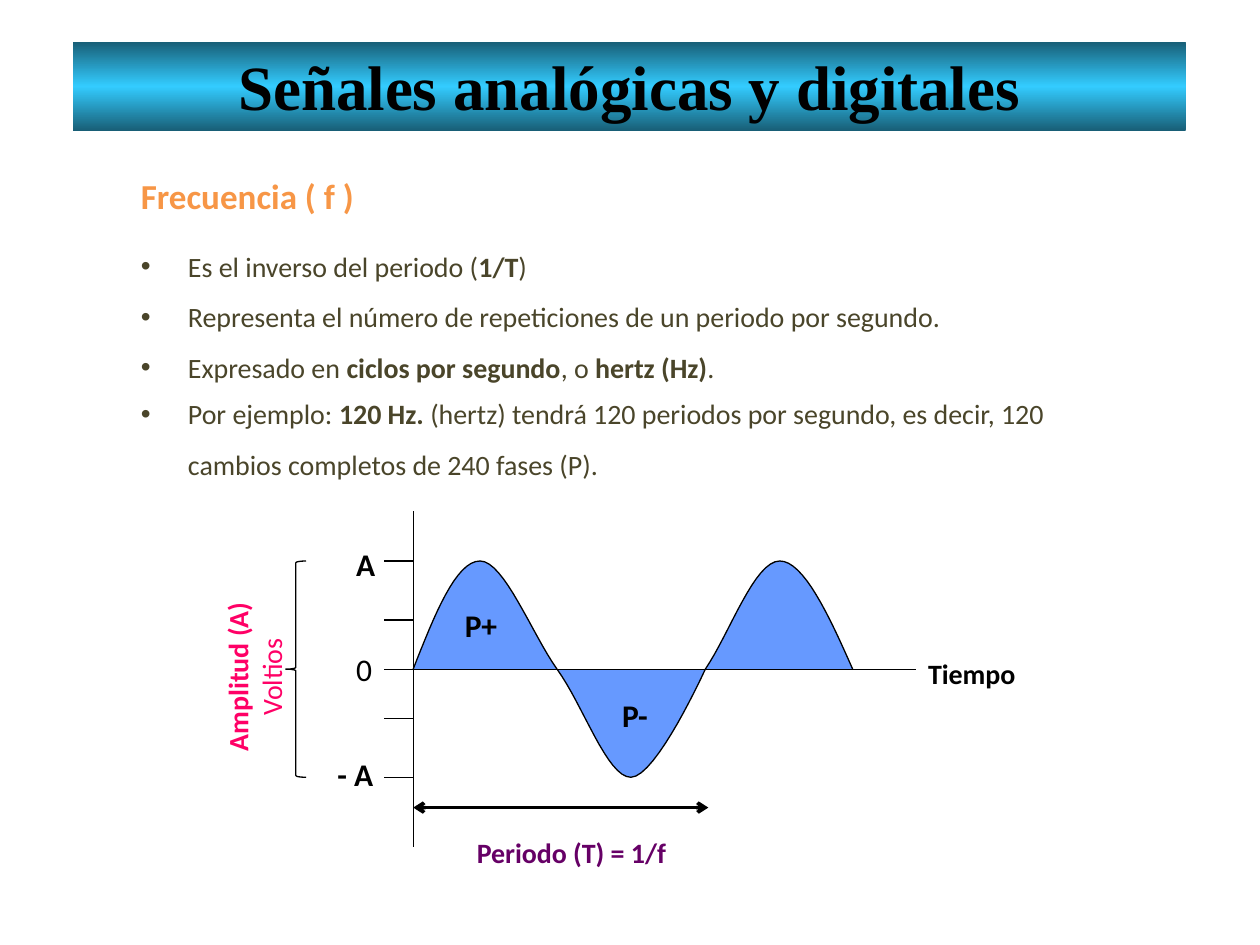
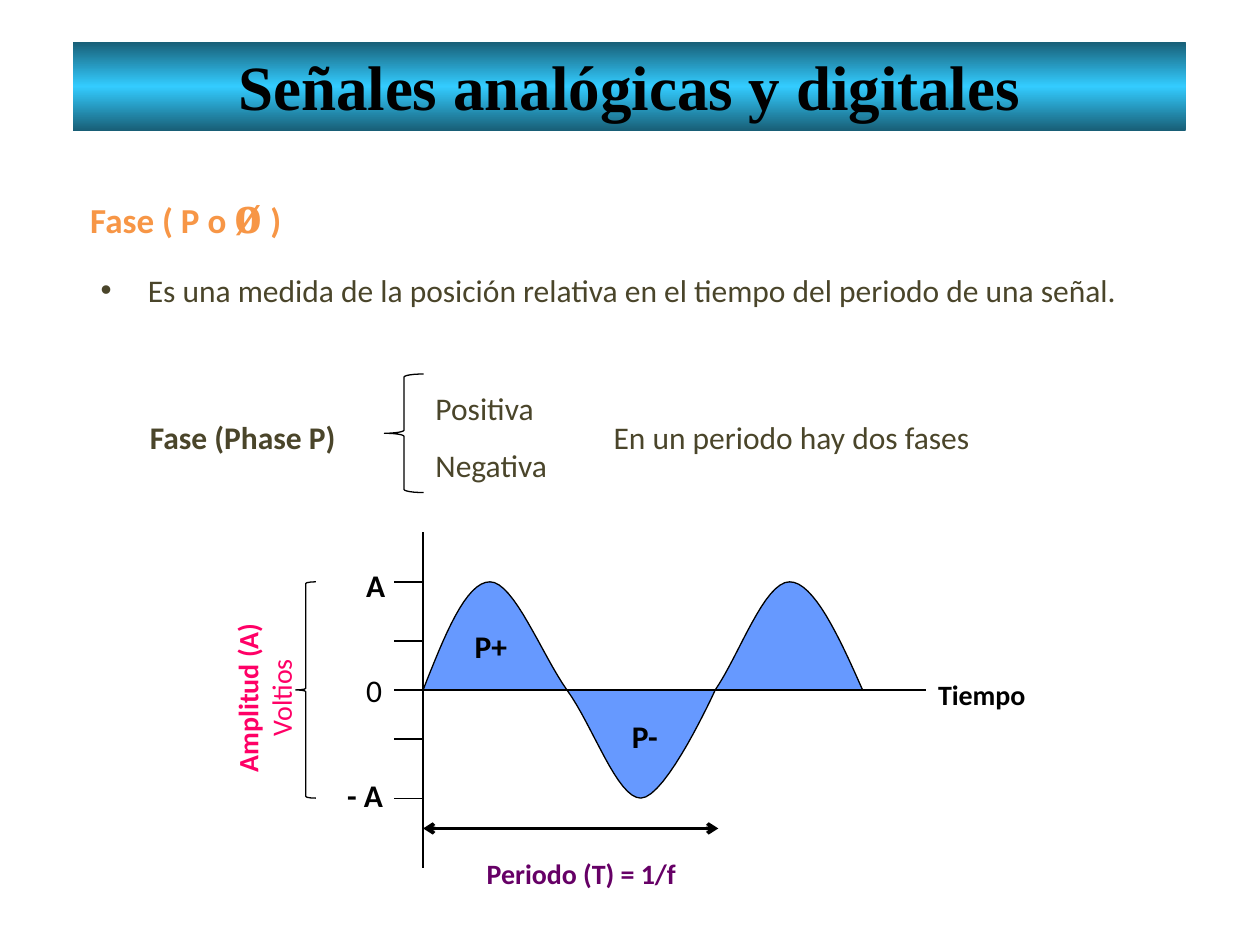
from copy import deepcopy
from lxml.etree import SubElement
from pptx import Presentation
from pptx.dml.color import RGBColor
from pptx.enum.shapes import MSO_CONNECTOR as Link, MSO_SHAPE as Kind
from pptx.enum.text import MSO_ANCHOR as Anchor, PP_ALIGN as Align
from pptx.oxml.ns import qn
from pptx.util import Cm, Pt

BLACK, WHITE, BROWN, ORANGE = "000000", "FFFFFF", "4A452A", "F79646"
PINK, PURPLE, BLUE = "FF0066", "660066", "6699FF"
BAND = ["185E76", "33CCFF", "185E76"]
SANS, SERIF = "Calibri", "Times New Roman"
CREST, STEP = 2.18, 0.99

# Start of the wave, then two handles and an end point for each curve, in cm from the origin
START = (0, 0)
CURVES = [
    [(0.43, -1.09), (0.86, -CREST), (1.35, -CREST)],
    [(1.83, -CREST), (2.39, -0.72), (2.9, 0)],
    [(3.43, 0.73), (3.91, CREST), (4.39, CREST)],
    [(4.9, CREST), (5.89, 0), (5.89, 0)],
    [(6.38, -0.72), (6.88, -CREST), (7.39, -CREST)],
    [(7.87, -CREST), (8.38, -1.09), (8.86, 0)],
]


def color(code):
    return RGBColor.from_string(code)


def style(run, size, ink=BLACK, bold=False, font=SANS):
    run.font.size, run.font.name, run.font.bold = Pt(size), font, bold
    run.font.color.rgb = color(ink)


def mark(para):
    """Give a paragraph a bullet with a hanging indent."""
    props = para._p.get_or_add_pPr()
    props.set("marL", str(Cm(0.95)))
    props.set("indent", str(-Cm(0.95)))
    SubElement(props, qn("a:buFont"), typeface="Arial")
    SubElement(props, qn("a:buChar"), char="•")


def write(frame, text, size, ink=BLACK, bold=False, font=SANS,
          align=Align.LEFT, space=1, bullet=False):
    """Fill a frame, one paragraph a line; asterisks switch the bold."""
    frame.word_wrap = True
    frame.vertical_anchor = Anchor.TOP
    for i, line in enumerate(text.split("\n")):
        para = frame.add_paragraph() if i else frame.paragraphs[0]
        para.alignment, para.line_spacing = align, space
        if bullet:
            mark(para)
        for j, part in enumerate(line.split("*")):
            if part:
                run = para.add_run()
                run.text = part
                style(run, size, ink, bold != (j % 2 == 1), font)


def label(slide, text, x, y, wide, high, turn=0, **form):
    box = slide.shapes.add_textbox(Cm(x), Cm(y), Cm(wide), Cm(high))
    box.rotation = turn
    write(box.text_frame, text, **form)
    return box


def paint(shape, fill):
    shape.shadow.inherit = False
    shape.fill.solid()
    shape.fill.fore_color.rgb = color(fill)
    shape.line.color.rgb = color(BLACK)
    shape.line.width = Pt(0.75)


def brace(slide, x, y, wide, high):
    shape = slide.shapes.add_shape(Kind.LEFT_BRACE, Cm(x), Cm(y), Cm(wide), Cm(high))
    shape.adjustments[0] = 0.08
    paint(shape, WHITE)


def rule(slide, x1, y1, x2, y2, width=0.75, arrows=False):
    link = slide.shapes.add_connector(Link.STRAIGHT, Cm(x1), Cm(y1), Cm(x2), Cm(y2))
    link.line.color.rgb = color(BLACK)
    link.line.width = Pt(width)
    if arrows:
        for end in ("a:headEnd", "a:tailEnd"):
            SubElement(link.line._get_or_add_ln(), qn(end), type="arrow")
    SubElement(link._element.spPr, qn("a:effectLst"))


def title(slide):
    band = slide.shapes.title
    band.left, band.top, band.width, band.height = Cm(1.47), Cm(0.84), Cm(22.43), Cm(1.8)
    band.fill.gradient()
    band.fill.gradient_angle = 90
    stops = band._element.spPr.find(".//" + qn("a:gsLst"))
    stops.append(deepcopy(stops[-1]))
    for i, stop in enumerate(band.fill.gradient_stops):
        stop.position = i / 2
        stop.color.rgb = color(BAND[i])
    write(band.text_frame, "Señales analógicas y digitales", 36, bold=True,
          font=SERIF, align=Align.CENTER)


def trace(steps=16):
    """Points along the curves of the wave."""
    points, first = [], START
    for one, two, last in CURVES:
        for n in range(1, steps + 1):
            t = n / steps
            u = 1 - t
            points.append(tuple(
                u**3 * a + 3 * u * u * t * b + 3 * u * t * t * c + t**3 * d
                for a, b, c, d in zip(first, one, two, last)))
        first = last
    return points


def wave(slide, x, y):
    """Draw the signal with its axes and labels; (x, y) is the origin."""
    def text(words, dx, dy, wide, high=1.02, size=18, bold=True, **form):
        label(slide, words, x + dx, y + dy, wide, high, size=size, bold=bold, **form)

    pen = slide.shapes.build_freeform(Cm(x), Cm(y))
    pen.add_line_segments([(Cm(x + dx), Cm(y + dy)) for dx, dy in trace()], close=False)
    paint(pen.convert_to_shape(), BLUE)

    rule(slide, x, y - 3.18, x, y + 3.58)
    for dy in (-CREST, -STEP, STEP, CREST):
        rule(slide, x - 0.58, y + dy, x, y + dy)
    brace(slide, x - 2.57, y - CREST, 0.41, 2 * CREST)
    rule(slide, x, y + 2.79, x + 5.95, y + 2.79, width=2, arrows=True)

    text("Amplitud (A) *Voltios*", -5.28, -0.66, 4.17, 1.63, size=16, ink=PINK,
         align=Align.CENTER, turn=270)
    text("A", -1.4, -2.62, 0.99)
    text("0", -1.4, -0.51, 0.99, bold=False)
    text("- A", -1.78, 1.6, 1.57)
    text("P+", 0.79, -1.4, 1.4)
    text("P-", 3.96, 0.41, 1.4)
    text("Tiempo", 10.13, -0.38, 2.77, 0.94, size=16)
    text("Periodo (T) = 1/f", 0.61, 3.23, 5.16, 0.94, size=16, ink=PURPLE,
         align=Align.CENTER)
    rule(slide, x - 0.58, y, x + 10.13, y)


def pulse(slide):
    """Frequency slide."""
    title(slide)
    label(slide, "Frecuencia ( f )", 2.59, 2.97, 6.55, 1.55, size=20, ink=ORANGE,
          bold=True, align=Align.JUSTIFY, space=1.5)
    form = dict(size=16, ink=BROWN, space=1.5, bullet=True)
    label(slide, "Es el inverso del periodo (*1/T*)\n"
          "Representa el número de repeticiones de un periodo por segundo.\n"
          "Expresado en *ciclos por segundo*, o *hertz (Hz)*.",
          2.59, 4.57, 20.62, 3.58, **form)
    wave(slide, 8.33, 13.49)
    label(slide, "Por ejemplo: *120 Hz. *(hertz) tendrá 120 periodos por segundo, "
          "es decir, 120 cambios completos de 240 fases (P).",
          2.59, 7.54, 20.62, 2.77, **form)


def phase(slide):
    title(slide)
    head = label(slide, "Fase ( P o *ø* )", 1.57, 2.77, 6.76, 2.31, size=20,
                 ink=ORANGE, bold=True, align=Align.JUSTIFY, space=1.5)
    style(head.text_frame.paragraphs[0].runs[1], 32, ORANGE, True, SERIF)
    form = dict(size=18, ink=BROWN, align=Align.JUSTIFY, space=1.5)
    label(slide, "Es una medida de la posición relativa en el tiempo del periodo "
          "de una señal.", 1.78, 4.95, 22.02, 2.97, bullet=True, **form)
    wave(slide, 8.53, 13.91)
    label(slide, "Fase (Phase P)", 2.77, 7.92, 5.16, 1.4, bold=True, **form)
    label(slide, "Positiva\nNegativa", 8.53, 7.34, 3.96, 2.59, **form)
    brace(slide, 7.75, 7.54, 0.79, 2.39)
    label(slide, "En un periodo hay dos fases", 12.12, 7.92, 10.31, 1.4, **form)


def main():
    deck = Presentation()
    deck.slide_width, deck.slide_height = Cm(25.4), Cm(19.05)
    for draw in (pulse, phase):
        draw(deck.slides.add_slide(deck.slide_layouts[5]))
    deck.save("out.pptx")


if __name__ == "__main__":
    main()
